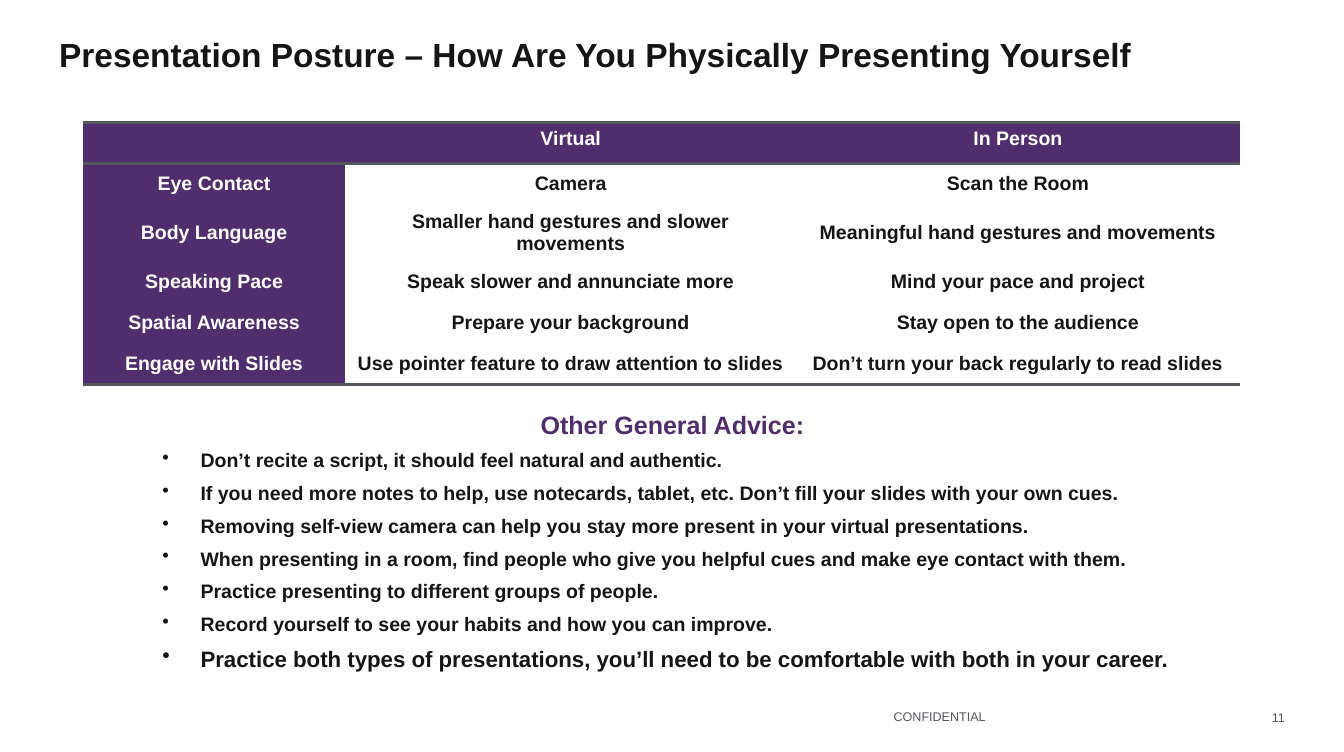
import pptx
import pptx.util
import pptx.dml.color
import pptx.enum.text
import pptx.oxml
import pptx.oxml.ns

Inches, Pt = pptx.util.Inches, pptx.util.Pt
ALIGN = pptx.enum.text.PP_ALIGN
ANCHOR = pptx.enum.text.MSO_ANCHOR
qn = pptx.oxml.ns.qn

FONT = "Arial"
HEX = {"plum": "512D6D", "ink": "151514", "gray": "53565A", "white": "FFFFFF"}
PLAIN = "{2D5ABB26-0587-4C30-8999-92F81FD0307C}"

TITLE = "Presentation Posture – How Are You Physically Presenting Yourself"
ROWS = [
    ("", "Virtual", "In Person"),
    ("Eye Contact", "Camera", "Scan the Room"),
    ("Body Language", "Smaller hand gestures and slower movements",
     "Meaningful hand gestures and movements"),
    ("Speaking Pace", "Speak slower and annunciate more", "Mind your pace and project"),
    ("Spatial Awareness", "Prepare your background", "Stay open to the audience"),
    ("Engage with Slides", "Use pointer feature to draw attention to slides",
     "Don’t turn your back regularly to read slides"),
]
WIDTHS = [2.61, 4.5, 4.42]
HIGH = 0.41
HEAD = "Other General Advice:"
TIPS = [
    ("Don’t recite a script, it should feel natural and authentic.", 14),
    ("If you need more notes to help, use notecards, tablet, etc. "
     "Don’t fill your slides with your own cues.", 14),
    ("Removing self-view camera can help you stay more present in your "
     "virtual presentations.", 14),
    ("When presenting in a room, find people who give you helpful cues and "
     "make eye contact with them.", 14),
    ("Practice presenting to different groups of people.", 14),
    ("Record yourself to see your habits and how you can improve.", 14),
    ("Practice both types of presentations, you’ll need to be comfortable "
     "with both in your career.", 16),
]
FOOT = [
    ("CONFIDENTIAL", (8.91, 6.85, 1.82, 0.37), ALIGN.LEFT),
    ("11", (11.07, 6.85, 1.74, 0.38), ALIGN.RIGHT),
]


def color(name):
    return pptx.dml.color.RGBColor.from_string(HEX[name])


def write(para, text, size, tone, bold=True, align=ALIGN.LEFT):
    para.alignment = align
    run = para.add_run()
    run.text = text
    font = run.font
    font.name, font.size, font.bold = FONT, Pt(size), bold
    font.color.rgb = color(tone)


def add_box(slide, place, anchor=ANCHOR.TOP):
    frame = slide.shapes.add_textbox(*map(Inches, place)).text_frame
    frame.word_wrap = True
    frame.vertical_anchor = anchor
    frame.margin_left = frame.margin_right = 0
    frame.margin_top = frame.margin_bottom = 0
    return frame


def add_rule(cell, side):
    cell._tc.get_or_add_tcPr().append(pptx.oxml.parse_xml(
        f'<a:{side} {pptx.oxml.ns.nsdecls("a")} w="{Pt(2)}"><a:solidFill>'
        f'<a:srgbClr val="{HEX["gray"]}"/></a:solidFill></a:{side}>'))


def add_bullet(para):
    props = para._p.get_or_add_pPr()
    props.set("marL", str(Inches(0.38)))
    props.set("indent", str(-Inches(0.38)))
    props.append(pptx.oxml.parse_xml(
        f'<a:buChar {pptx.oxml.ns.nsdecls("a")} char="•"/>'))


def add_grid(slide):
    table = slide.shapes.add_table(
        len(ROWS), len(WIDTHS), Inches(0.83), Inches(1.22),
        Inches(sum(WIDTHS)), Inches(HIGH * len(ROWS))).table
    table._tbl.tblPr.find(qn("a:tableStyleId")).text = PLAIN
    table.horz_banding = False
    for col, width in zip(table.columns, WIDTHS):
        col.width = Inches(width)
    for i, row in enumerate(ROWS):
        table.rows[i].height = Inches(HIGH)
        for j, text in enumerate(row):
            cell = table.cell(i, j)
            dark = i == 0 or j == 0
            if i == 0:
                add_rule(cell, "lnT")
            else:
                cell.vertical_anchor = ANCHOR.MIDDLE
            if i in (0, len(ROWS) - 1):
                add_rule(cell, "lnB")
            cell.fill.solid()
            cell.fill.fore_color.rgb = color("plum" if dark else "white")
            if text:
                write(cell.text_frame.paragraphs[0], text, 14,
                      "white" if dark else "ink", align=ALIGN.CENTER)


def add_tips(slide):
    frame = add_box(slide, (1.62, 4.08, 10.17, 2.5))
    para = frame.paragraphs[0]
    para.space_after = Pt(6.7)
    write(para, HEAD, 18, "plum", align=ALIGN.CENTER)
    for text, size in TIPS:
        para = frame.add_paragraph()
        para.space_after = Pt(6.7)
        add_bullet(para)
        write(para, text, size, "ink")


def main():
    deck = pptx.Presentation()
    deck.slide_width, deck.slide_height = Inches(13.4), Inches(7.5)
    slide = deck.slides.add_slide(deck.slide_layouts[6])
    para = add_box(slide, (0.59, 0.3, 12.22, 0.9)).paragraphs[0]
    para.line_spacing = Pt(32)
    write(para, TITLE, 24, "ink")
    add_grid(slide)
    add_tips(slide)
    for text, place, align in FOOT:
        frame = add_box(slide, place, ANCHOR.BOTTOM)
        write(frame.paragraphs[0], text, 9, "gray", False, align)
    deck.save("out.pptx")


if __name__ == "__main__":
    main()
